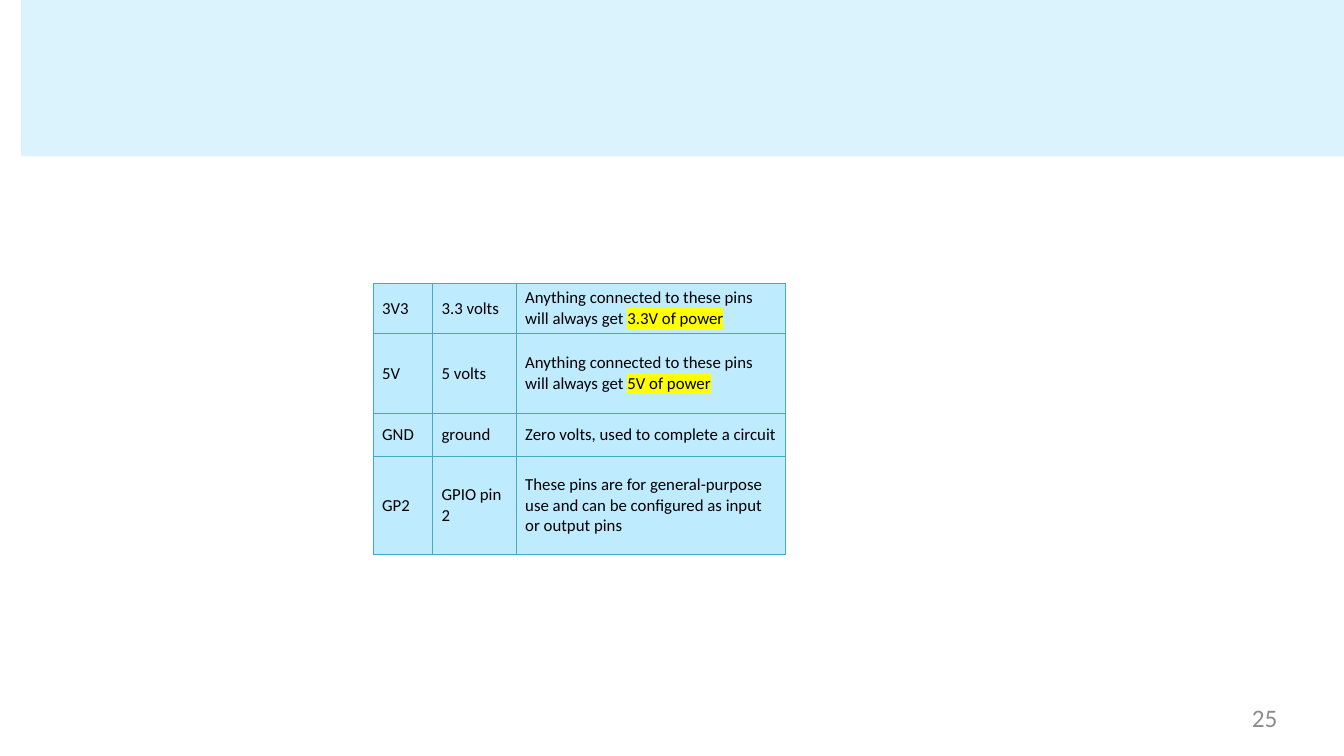
from lxml.etree import SubElement
from pptx import Presentation
from pptx.dml.color import RGBColor
from pptx.enum.shapes import MSO_SHAPE
from pptx.enum.text import MSO_ANCHOR, PP_ALIGN
from pptx.oxml.ns import qn
from pptx.util import Inches, Pt

BAND_BLUE = RGBColor(0xDA, 0xF3, 0xFD)
CELL_BLUE = RGBColor(0xBF, 0xEB, 0xFF)
BORDER_TEAL = RGBColor(0x46, 0xAA, 0xC5)
HIGHLIGHT_YELLOW = RGBColor(0xFF, 0xFF, 0x00)
NUMBER_GRAY = RGBColor(0x8C, 0x8C, 0x8C)
BLACK = RGBColor(0, 0, 0)
FONT = "Calibri"

COLUMN_WIDTHS = [0.59, 0.83, 2.67]
ROW_HEIGHTS = [0.5, 0.79, 0.43, 0.97]
POWER_TEXT = "Anything connected to these pins will always get "
PINS = [
    ("3V3", "3.3 volts", POWER_TEXT, "3.3V of power"),
    ("5V", "5 volts", POWER_TEXT, "5V of power"),
    ("GND", "ground", "Zero volts, used to complete a circuit", ""),
    ("GP2", "GPIO pin 2", "These pins are for general-purpose use and can be "
     "configured as input or output pins", ""),
]


def style_paragraph(para, size, color):
    para.font.name = FONT
    para.font.size = Pt(size)
    para.font.color.rgb = color


def add_color(parent, color):
    SubElement(parent, qn("a:srgbClr"), val=str(color))


def add_header_band(page, left, top, width, height):
    band = page.shapes.add_shape(MSO_SHAPE.RECTANGLE, Inches(left), Inches(top),
                                 Inches(width), Inches(height))
    band.shadow.inherit = False
    band.fill.solid()
    band.fill.fore_color.rgb = BAND_BLUE
    band.line.fill.background()


def add_page_number(page, left, top, width, height, number):
    box = page.shapes.add_textbox(Inches(left), Inches(top),
                                  Inches(width), Inches(height))
    frame = box.text_frame
    frame.word_wrap = True
    frame.margin_left = frame.margin_right = 0
    frame.margin_top = frame.margin_bottom = 0
    para = frame.paragraphs[0]
    para.text = number
    para.alignment = PP_ALIGN.RIGHT
    style_paragraph(para, 18, NUMBER_GRAY)


def set_borders(cell):
    properties = cell._tc.get_or_add_tcPr()
    for position, side in enumerate(("lnL", "lnR", "lnT", "lnB")):
        line = SubElement(properties, qn(f"a:{side}"), w=str(Pt(0.75)))
        add_color(SubElement(line, qn("a:solidFill")), BORDER_TEAL)
        properties.insert(position, line)


def fill_cell(cell, text, highlighted=""):
    cell.fill.solid()
    cell.fill.fore_color.rgb = CELL_BLUE
    set_borders(cell)
    cell.vertical_anchor = MSO_ANCHOR.MIDDLE
    cell.margin_left = cell.margin_right = Inches(0.09)
    cell.margin_top = cell.margin_bottom = Inches(0.04)
    para = cell.text_frame.paragraphs[0]
    para.add_run().text = text
    if highlighted:
        span = para.add_run()
        span.text = highlighted
        add_color(SubElement(span._r.get_or_add_rPr(), qn("a:highlight")),
                  HIGHLIGHT_YELLOW)
    style_paragraph(para, 12, BLACK)


def add_pin_table(page, left, top):
    table = page.shapes.add_table(
        len(PINS), len(COLUMN_WIDTHS), Inches(left), Inches(top),
        Inches(sum(COLUMN_WIDTHS)), Inches(sum(ROW_HEIGHTS))).table
    table.first_row = False
    table.horz_banding = False
    for column, width in zip(table.columns, COLUMN_WIDTHS):
        column.width = Inches(width)
    for row, height, pin in zip(table.rows, ROW_HEIGHTS, PINS):
        row.height = Inches(height)
        label, meaning, use, highlighted = pin
        fill_cell(row.cells[0], label)
        fill_cell(row.cells[1], meaning)
        fill_cell(row.cells[2], use, highlighted)


def main():
    deck = Presentation()
    deck.slide_width = Inches(13.33)
    deck.slide_height = Inches(7.5)
    page = deck.slides.add_slide(deck.slide_layouts[6])
    add_header_band(page, 0.21, 0, 13.12, 1.55)
    add_page_number(page, 9.6, 6.97, 3.07, 0.38, "25")
    add_pin_table(page, 3.7, 2.81)
    deck.save("out.pptx")


if __name__ == "__main__":
    main()
